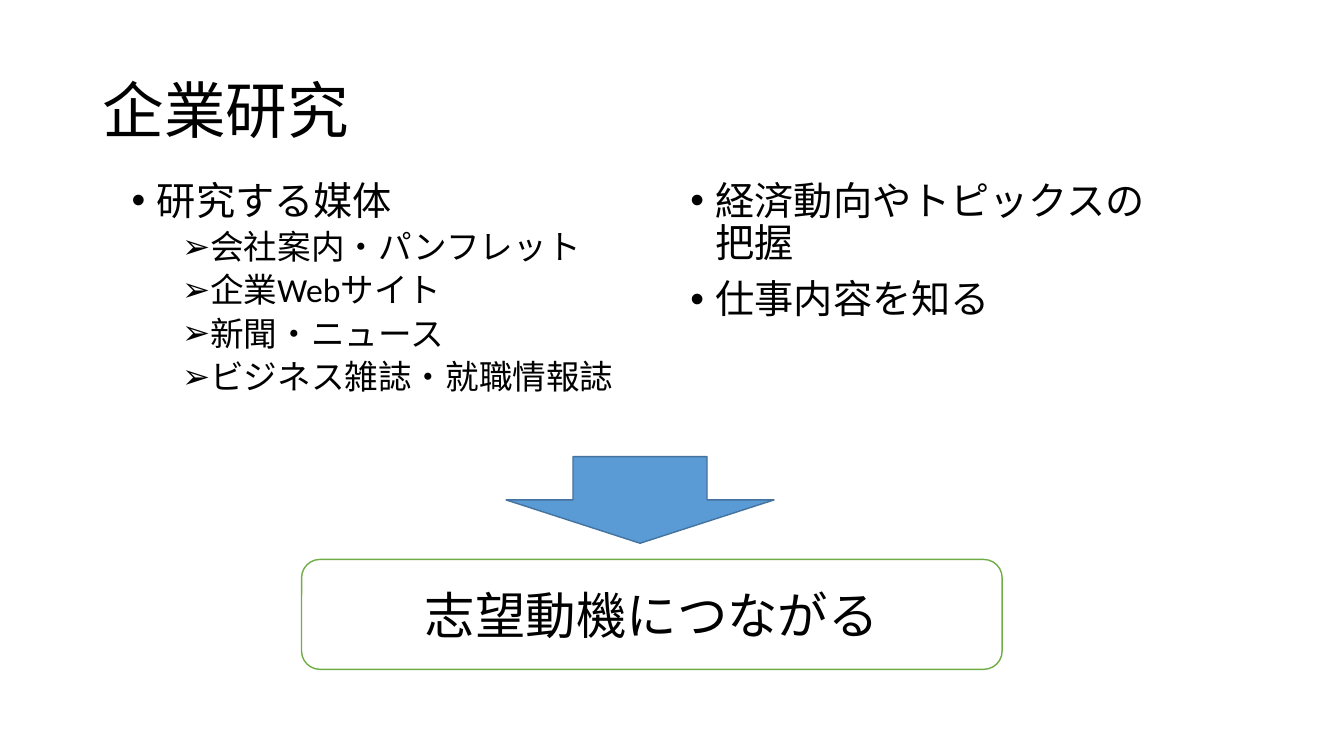
from dataclasses import dataclass

from lxml import etree
from pptx import Presentation
from pptx import util as u
from pptx.dml.color import RGBColor
from pptx.enum import shapes, text
from pptx.oxml.ns import qn

FONT = "Calibri"
BLACK = "000000"
COLUMNS, ROWS = 160, 90
WIDTH, HEIGHT = u.Inches(13.33), u.Inches(7.5)


@dataclass(frozen=True)
class Area:
    """A region in grid columns and rows."""
    column: float
    row: float
    columns: float
    rows: float

    def box(self) -> tuple[int, int, int, int]:
        return (int(self.column * WIDTH / COLUMNS), int(self.row * HEIGHT / ROWS),
                int(self.columns * WIDTH / COLUMNS), int(self.rows * HEIGHT / ROWS))


@dataclass(frozen=True)
class Level:
    bullet: str
    indent: float
    size: int
    space: int


@dataclass(frozen=True)
class Item:
    words: str
    level: int = 0


@dataclass(frozen=True)
class Topic:
    area: Area
    items: tuple[Item, ...]


@dataclass(frozen=True)
class Block:
    kind: shapes.MSO_SHAPE
    area: Area
    fill: str
    line: str
    words: str = ""


LEVELS = (Level("•", 0.25, 28, 10), Level("➢", 0.75, 24, 5))

TITLE_AREA = Area(11, 4.8, 138, 17.4)

TOPICS = (
    Topic(Area(14.5, 21, 63, 29.64), (
        Item("研究する媒体"),
        Item("会社案内・パンフレット", 1),
        Item("企業Webサイト", 1),
        Item("新聞・ニュース", 1),
        Item("ビジネス雑誌・就職情報誌", 1),
    )),
    Topic(Area(81, 21, 60.5, 29.64), (
        Item("経済動向やトピックスの把握"),
        Item("仕事内容を知る"),
    )),
)

BLOCKS = (
    Block(shapes.MSO_SHAPE.DOWN_ARROW, Area(60.25, 54.36, 31.9, 10.32), "5B9BD5", "43739E"),
    Block(shapes.MSO_SHAPE.ROUNDED_RECTANGLE, Area(35.9, 66.6, 83.4, 13.08),
          "FFFFFF", "70AD47", "志望動機につながる"),
)


def color(value: str) -> RGBColor:
    return RGBColor.from_string(value)


def set_font(paragraph, size: int) -> None:
    font = paragraph.font
    font.name, font.size = FONT, u.Pt(size)
    font.color.rgb = color(BLACK)


def set_bullet(paragraph, level: Level) -> None:
    properties = paragraph._p.get_or_add_pPr()
    properties.set("marL", str(u.Inches(level.indent)))
    properties.set("indent", str(u.Inches(-0.25)))
    etree.SubElement(properties, qn("a:buFont"), typeface="Arial")
    etree.SubElement(properties, qn("a:buChar"), char=level.bullet)


def draw_title(slide, words: str) -> None:
    title = slide.shapes.title
    title.left, title.top, title.width, title.height = TITLE_AREA.box()
    frame = title.text_frame
    frame.text = words
    frame.vertical_anchor = text.MSO_ANCHOR.MIDDLE
    paragraph = frame.paragraphs[0]
    paragraph.alignment = text.PP_ALIGN.LEFT
    paragraph.line_spacing = 0.9
    set_font(paragraph, 44)


def draw_topic(slide, topic: Topic) -> None:
    frame = slide.shapes.add_textbox(*topic.area.box()).text_frame
    frame.word_wrap = True
    for index, item in enumerate(topic.items):
        paragraph = frame.add_paragraph() if index else frame.paragraphs[0]
        level = LEVELS[item.level]
        paragraph.text = item.words
        paragraph.level = item.level
        set_bullet(paragraph, level)
        paragraph.line_spacing = 0.9
        paragraph.space_before = u.Pt(level.space if index else 0)
        set_font(paragraph, level.size)


def draw_block(slide, block: Block) -> None:
    shape = slide.shapes.add_shape(block.kind, *block.area.box())
    shape.shadow.inherit = False
    shape.fill.solid()
    shape.fill.fore_color.rgb = color(block.fill)
    shape.line.color.rgb = color(block.line)
    shape.line.width = u.Pt(1)
    if block.words:
        frame = shape.text_frame
        frame.text = block.words
        frame.vertical_anchor = text.MSO_ANCHOR.MIDDLE
        frame.paragraphs[0].alignment = text.PP_ALIGN.CENTER
        set_font(frame.paragraphs[0], 36)


def main() -> None:
    deck = Presentation()
    deck.slide_width, deck.slide_height = WIDTH, HEIGHT
    slide = deck.slides.add_slide(deck.slide_layouts[5])

    # Heading
    draw_title(slide, "企業研究")

    # Research topics
    for topic in TOPICS:
        draw_topic(slide, topic)

    # Arrow and conclusion
    for block in BLOCKS:
        draw_block(slide, block)

    deck.save("out.pptx")


if __name__ == "__main__":
    main()
